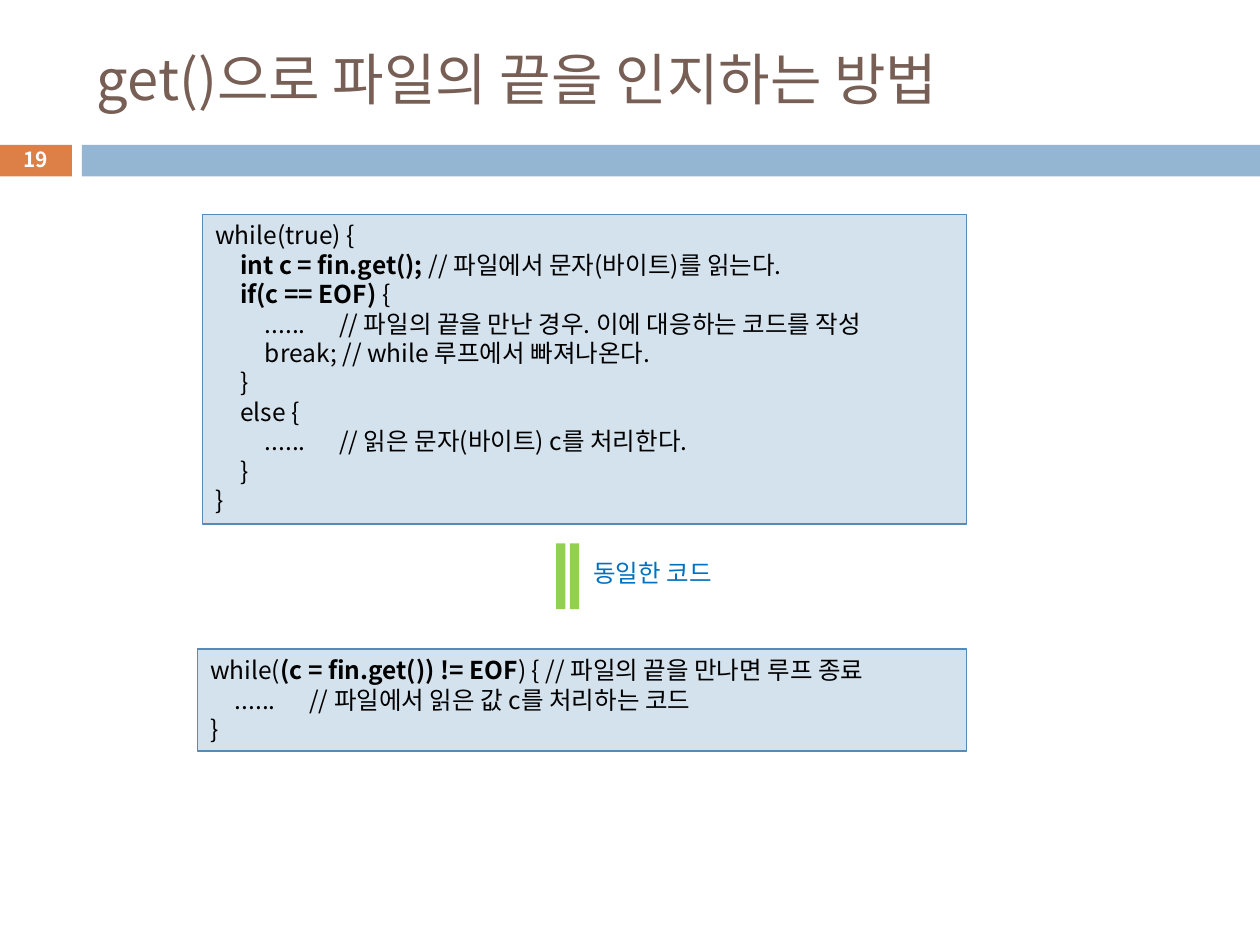
from lxml import etree
from pptx import Presentation
from pptx.dml.color import RGBColor
from pptx.enum.shapes import MSO_SHAPE
from pptx.enum.text import MSO_ANCHOR, MSO_AUTO_SIZE, PP_ALIGN
from pptx.oxml.ns import qn
from pptx.util import Pt

RECT, EQUAL = MSO_SHAPE.RECTANGLE, MSO_SHAPE.MATH_EQUAL
TOP, MIDDLE = MSO_ANCHOR.TOP, MSO_ANCHOR.MIDDLE
LEFT, CENTER = PP_ALIGN.LEFT, PP_ALIGN.CENTER
NO_FIT = MSO_AUTO_SIZE.NONE

FONT = "Noto Sans CJK KR"
BROWN = RGBColor(0x77, 0x5F, 0x55)
ORANGE = RGBColor(0xDD, 0x80, 0x47)
BAND_BLUE = RGBColor(0x94, 0xB6, 0xD2)
CODE_FILL = RGBColor(0xD4, 0xE2, 0xED)
CODE_LINE = RGBColor(0x55, 0x8B, 0xB8)
GREEN = RGBColor(0x92, 0xD0, 0x50)
LABEL_BLUE = RGBColor(0x00, 0x70, 0xC0)
BLACK = RGBColor(0, 0, 0)
WHITE = RGBColor(255, 255, 255)

TITLE = "get()으로 파일의 끝을 인지하는 방법"
PAGE = "19"
LABEL = "동일한 코드"
LOOP_CODE = [
    [("while(true) {", False)],
    [("\tint c = fin.get(); ", True), ("// 파일에서 문자(바이트)를 읽는다.", False)],
    [("\tif(c == EOF) ", True), ("{", False)],
    [("\t\t......\t\t// 파일의 끝을 만난 경우. 이에 대응하는 코드를 작성", False)],
    [("\t\tbreak; // while 루프에서 빠져나온다.", False)],
    [("\t}", False)],
    [("\telse {", False)],
    [("\t\t......\t\t// 읽은 문자(바이트) c를 처리한다.", False)],
    [("\t}", False)],
    [("}", False)],
]
SHORT_CODE = [
    [("while(", False), ("(c = fin.get()) != EOF", True),
     (") { // 파일의 끝을 만나면 루프 종료", False)],
    [("\t......\t\t// 파일에서 읽은 값 c를 처리하는 코드", False)],
    [("}", False)],
]
CODE_BOXES = [
    (LOOP_CODE, (115.9, 122.4, 436.4, 177.1)),
    (SHORT_CODE, (113, 370.8, 439.3, 58.3)),
]
BANDS = [
    (ORANGE, (-0.7, 82.8, 41.8, 18)),
    (BAND_BLUE, (46.8, 82.8, 673.2, 18)),
]
TAB_STEP, TAB_COUNT = 14.17, 6
LINE_PITCH = 16.8


def add_shape(s, kind, box, fill, line=None):
    sp = s.shapes.add_shape(kind, *map(Pt, box))
    sp.shadow.inherit = False
    sp.fill.solid()
    sp.fill.fore_color.rgb = fill
    if line is None:
        sp.line.fill.background()
    else:
        sp.line.color.rgb = line
        sp.line.width = Pt(0.75)
    return sp


def add_text(sp, lines, size, color, anchor=TOP, align=LEFT, wrap=True,
             pitch=None, tabs=0):
    tf = sp.text_frame
    frame = {"word_wrap": wrap, "auto_size": NO_FIT, "vertical_anchor": anchor}
    for name, value in frame.items():
        setattr(tf, name, value)
    for i, line in enumerate(lines):
        p = tf.add_paragraph() if i else tf.paragraphs[0]
        p.alignment = align
        if pitch:
            p.line_spacing = Pt(pitch)
        if tabs:
            tab_list = etree.SubElement(p._p.get_or_add_pPr(), qn("a:tabLst"))
            for n in range(1, tabs + 1):
                etree.SubElement(tab_list, qn("a:tab"),
                                 pos=str(Pt(TAB_STEP * n)), algn="l")
        for text, bold in line:
            r = p.add_run()
            r.text = text
            for name, value in {"name": FONT, "size": Pt(size), "bold": bold}.items():
                setattr(r.font, name, value)
            r.font.color.rgb = color
            latin = r._r.rPr.find(qn("a:latin"))
            latin.addnext(etree.Element(qn("a:ea"), typeface=FONT))


def main():
    prs = Presentation()
    prs.slide_width, prs.slide_height = Pt(720), Pt(540)
    s = prs.slides.add_slide(prs.slide_layouts[5])

    for fill, box in BANDS:
        add_shape(s, RECT, box, fill)

    title = s.shapes.title
    title.left, title.top, title.width, title.height = map(Pt, (48.2, 18, 642.2, 53.3))
    add_text(title, [[(TITLE, False)]], 32, BROWN, MIDDLE)

    page = s.shapes.add_textbox(*map(Pt, (-0.7, 81.4, 41.8, 19.4)))
    add_text(page, [[(PAGE, True)]], 11.9, WHITE, MIDDLE, CENTER)

    for lines, box in CODE_BOXES:
        sp = add_shape(s, RECT, box, CODE_FILL, CODE_LINE)
        add_text(sp, lines, 14, BLACK, pitch=LINE_PITCH, tabs=TAB_COUNT)

    equal = add_shape(s, EQUAL, (298.8, 318.2, 51.1, 22.3), GREEN)
    equal.rotation = 90

    label = s.shapes.add_textbox(*map(Pt, (331.9, 315.4, 90, 24.5)))
    add_text(label, [[(LABEL, False)]], 14, LABEL_BLUE, wrap=False, pitch=LINE_PITCH)

    prs.save("out.pptx")


if __name__ == "__main__":
    main()
